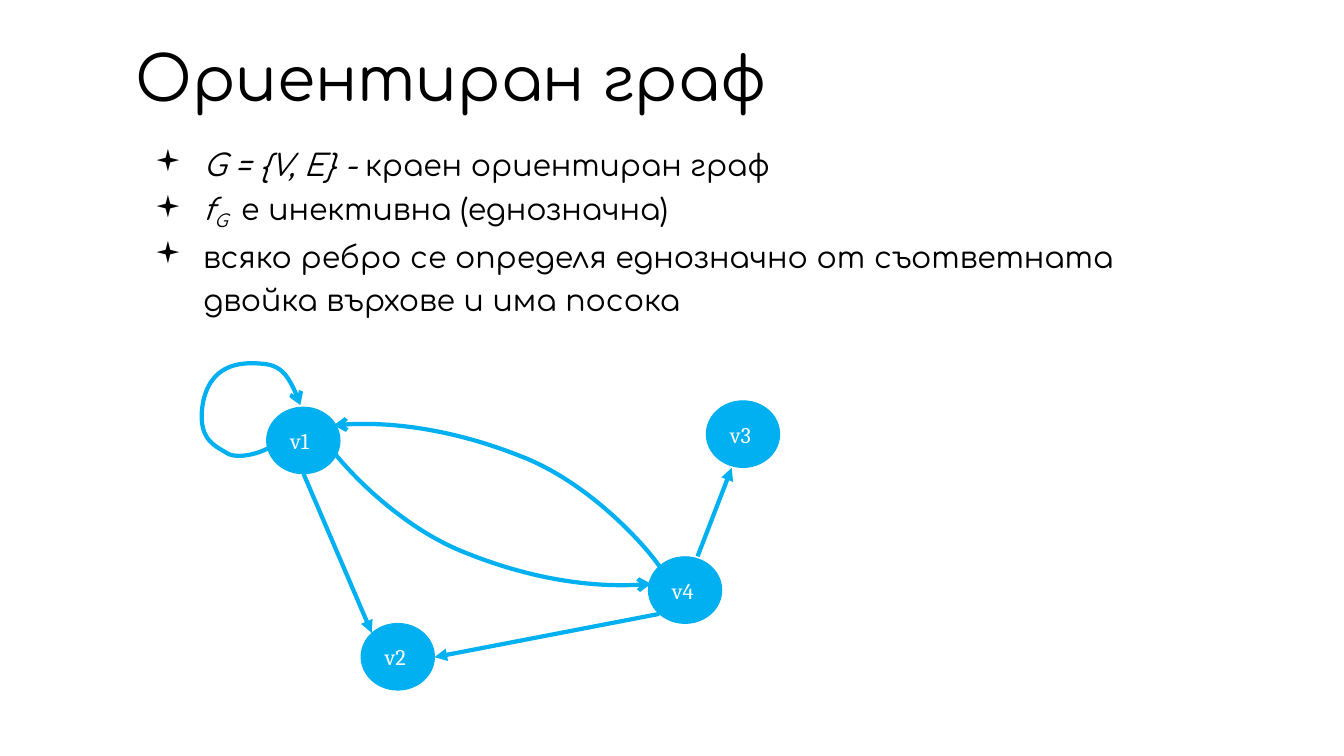
from lxml.etree import SubElement as Sub
from pptx import Presentation
from pptx.dml.color import RGBColor as RGB
from pptx.enum.shapes import MSO_CONNECTOR as Link, MSO_SHAPE as Kind
from pptx.enum.text import MSO_ANCHOR as Anchor, PP_ALIGN as Align
from pptx.oxml.ns import qn
from pptx.util import Cm, Pt

BLUE, BLACK, WHITE = "00B0F0", "000000", "FFFFFF"

TITLE = {"name": "Comfortaa", "size": Pt(44)}
BODY = {"name": "Comfortaa", "size": Pt(21.4)}
LABEL = {"name": "Cambria", "size": Pt(16)}

# Each run: text, italic, baseline shift in percent
POINTS = [
    [("G = {V, E} - ", True, 0), ("краен ориентиран граф", False, 0)],
    [("f", True, 0), ("G ", True, -25), (" е инективна (еднозначна)", False, 0)],
    [("всяко ребро се определя еднозначно от съответната "
      "двойка върхове и има посока", False, 0)],
]

# Left and top of each vertex, in cm
NODES = {"v1": (6.72, 10.26), "v2": (9.1, 15.71),
         "v4": (16.34, 14.03), "v3": (17.8, 10.1)}

# Straight edges: from, to
EDGES = [((16.61, 15.47), (10.95, 16.56)),
         ((7.65, 11.94), (9.37, 15.95)),
         ((17.58, 14.02), (18.44, 11.79))]

# Curved edges: a start, then two controls and an end for each piece
CURVES = [
    [(16.74, 14.48), (16.66, 14.2), (15.06, 12.22), (13.08, 11.48),
     (11.61, 10.9), (9.83, 10.57), (8.41, 10.72)],
    [(6.83, 11.25), (6.63, 11.4), (5.97, 11.61), (5.69, 11.4),
     (5.41, 11.23), (4.93, 11.05), (5.13, 10.08),
     (5.36, 9.12), (6.15, 9.12), (6.65, 9.17),
     (7.16, 9.22), (7.52, 9.96), (7.57, 10.21)],
    [(8.1, 10.92), (8.18, 11.23), (9.78, 13.18), (11.76, 13.94),
     (13.23, 14.53), (15.01, 14.86), (16.41, 14.71)],
]


def color(code):
    return RGB.from_string(code)


def apply(thing, vals):
    for key, val in vals.items():
        setattr(thing, key, val)


def frame(shape, anchor, side, edge):
    text = shape.text_frame
    apply(text, {"word_wrap": True, "vertical_anchor": anchor,
                 "margin_left": Cm(side), "margin_right": Cm(side),
                 "margin_top": Cm(edge), "margin_bottom": Cm(edge)})
    return text


def write(para, words, style, code, italic=False, shift=0):
    run = para.add_run()
    run.text = words
    apply(run.font, {**style, "italic": italic})
    run.font.color.rgb = color(code)
    if shift:
        run.font._element.set("baseline", str(shift * 1000))


def bullet(para):
    props = para._p.get_or_add_pPr()
    props.set("marL", str(Cm(1.7)))
    props.set("indent", str(Cm(-1.22)))
    Sub(props, qn("a:buFont"), typeface="Wingdings")
    Sub(props, qn("a:buChar"), char="▪")


def stroke(shape, width, head=None):
    shape.line.color.rgb = color(BLUE)
    shape.line.width = Pt(width)
    if head:
        Sub(shape.line._get_or_add_ln(), qn("a:tailEnd"), type=head)


def title(slide):
    box = slide.shapes.add_textbox(Cm(3.12), Cm(0.99), Cm(28.85), Cm(2.13))
    para = frame(box, Anchor.MIDDLE, 0.3, 0.1).paragraphs[0]
    para.line_spacing = 0.9
    write(para, "Ориентиран граф", TITLE, BLACK)


def body(slide):
    box = slide.shapes.add_textbox(Cm(3.12), Cm(3.4), Cm(26.16), Cm(5.46))
    text = frame(box, Anchor.TOP, 0.3, 0.1)
    for num, runs in enumerate(POINTS):
        para = text.add_paragraph() if num else text.paragraphs[0]
        bullet(para)
        para.line_spacing = 1.2
        for words, italic, shift in runs:
            write(para, words, BODY, BLACK, italic, shift)


def node(slide, name, left, top):
    oval = slide.shapes.add_shape(Kind.OVAL, Cm(left), Cm(top), Cm(1.85), Cm(1.68))
    oval.shadow.inherit = False
    oval.fill.solid()
    oval.fill.fore_color.rgb = color(BLUE)
    stroke(oval, 0.75)
    para = frame(oval, Anchor.MIDDLE, 0.33, 0.33).paragraphs[0]
    para.alignment = Align.LEFT
    write(para, name, LABEL, WHITE)


def edge(slide, start, end):
    line = slide.shapes.add_connector(Link.STRAIGHT, *map(Cm, start + end))
    stroke(line, 3, "triangle")
    Sub(line._element.spPr, qn("a:effectLst"))


def curve(slide, knots):
    dots = [(Cm(x), Cm(y)) for x, y in knots]
    pen = slide.shapes.build_freeform(*dots[0])
    pen.add_line_segments(dots[3::3], close=False)
    arc = pen.convert_to_shape()
    # Bend each straight piece into a cubic one
    track = next(arc._element.iter(qn("a:path")))
    for num, piece in enumerate(track.findall(qn("a:lnTo"))):
        track.remove(piece)
        bend = Sub(track, qn("a:cubicBezTo"))
        for x, y in dots[3 * num + 1:3 * num + 4]:
            Sub(bend, qn("a:pt"), x=str(x - arc.left), y=str(y - arc.top))
    arc.shadow.inherit = False
    arc.fill.background()
    stroke(arc, 3, "arrow")


def main():
    deck = Presentation()
    apply(deck, {"slide_width": Cm(33.87), "slide_height": Cm(19.05)})
    slide = deck.slides.add_slide(deck.slide_layouts[6])
    # Heading and list
    title(slide)
    body(slide)
    # Graph
    for name, spot in NODES.items():
        node(slide, name, *spot)
    for ends in EDGES:
        edge(slide, *ends)
    for knots in CURVES:
        curve(slide, knots)
    deck.save("out.pptx")


if __name__ == "__main__":
    main()
